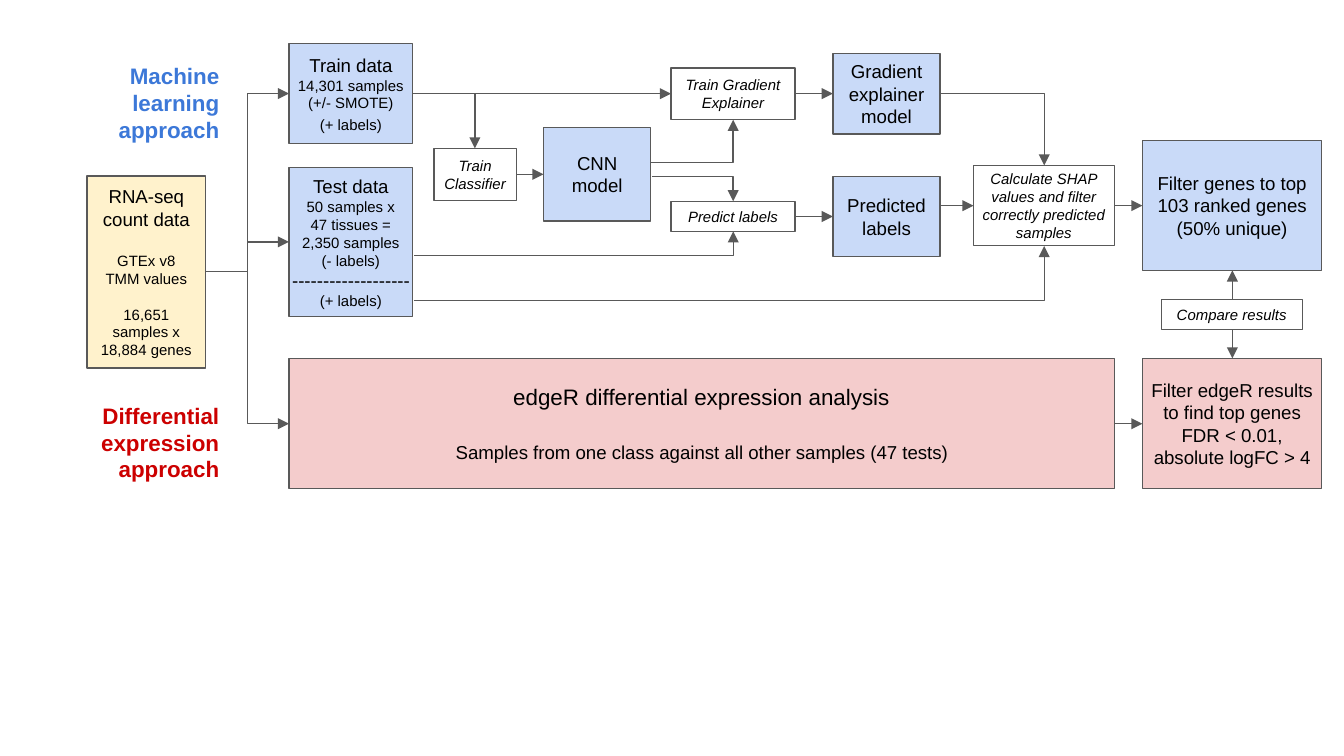
from dataclasses import dataclass

import lxml.etree
import pptx
import pptx.dml.color
import pptx.enum.shapes
import pptx.enum.text
import pptx.oxml.ns
import pptx.util

Pt = pptx.util.Pt
Align = pptx.enum.text.PP_ALIGN
Anchor = pptx.enum.text.MSO_ANCHOR
qn = pptx.oxml.ns.qn

BLUE, PINK, CREAM, WHITE = "C9DAF8", "F4CCCC", "FFF2CC", "FFFFFF"
GREY, BLACK = "595959", "000000"


@dataclass
class Line:
    text: str
    size: float = 10
    gap: float = 0


@dataclass
class Box:
    x: float
    y: float
    w: float
    h: float
    fill: str
    lines: list[Line]
    side: float = 7.2


@dataclass
class Label:
    y: float
    h: float
    tint: str
    text: list[str]


@dataclass
class Arrow:
    x1: float
    y1: float
    x2: float
    y2: float
    bends: int = 0
    both: bool = False


def color(code: str) -> pptx.dml.color.RGBColor:
    return pptx.dml.color.RGBColor.from_string(code)


def write(frame, lines: list[Line], side: float, align, tint: str,
          bold: bool = False, slant: bool = False) -> None:
    frame.word_wrap = True
    frame.margin_left = frame.margin_right = Pt(side)
    frame.margin_top = frame.margin_bottom = Pt(7.2)
    for i, line in enumerate(lines):
        par = frame.add_paragraph() if i else frame.paragraphs[0]
        par.text = line.text
        par.alignment = align
        par.space_before = Pt(line.gap)
        par.font.name = "Arial"
        par.font.size = Pt(line.size)
        par.font.bold = bold
        par.font.italic = slant
        par.font.color.rgb = color(tint)


def draw_box(slide, box: Box) -> None:
    shape = slide.shapes.add_shape(
        pptx.enum.shapes.MSO_SHAPE.RECTANGLE,
        Pt(box.x), Pt(box.y), Pt(box.w), Pt(box.h))
    shape.shadow.inherit = False
    shape.fill.solid()
    shape.fill.fore_color.rgb = color(box.fill)
    shape.line.color.rgb = color(GREY)
    shape.line.width = Pt(0.75)
    shape.text_frame.vertical_anchor = Anchor.MIDDLE
    # White boxes are steps, set in italics
    write(shape.text_frame, box.lines, box.side, Align.CENTER, BLACK,
          slant=box.fill == WHITE)


def draw_label(slide, label: Label) -> None:
    shape = slide.shapes.add_textbox(Pt(36), Pt(label.y), Pt(88.6), Pt(label.h))
    write(shape.text_frame, [Line(text, 12) for text in label.text], 7.2,
          Align.RIGHT, label.tint, bold=True)


def draw_arrow(slide, arrow: Arrow) -> None:
    kinds = pptx.enum.shapes.MSO_CONNECTOR
    link = slide.shapes.add_connector(
        kinds.ELBOW if arrow.bends else kinds.STRAIGHT,
        Pt(arrow.x1), Pt(arrow.y1), Pt(arrow.x2), Pt(arrow.y2))
    link.line.color.rgb = color(GREY)
    link.line.width = Pt(0.75)
    props = link._element.spPr
    if arrow.bends == 1:
        props.find(qn("a:prstGeom")).set("prst", "bentConnector2")
    for end in ("a:headEnd", "a:tailEnd") if arrow.both else ("a:tailEnd",):
        lxml.etree.SubElement(props.find(qn("a:ln")), qn(end), type="triangle")
    lxml.etree.SubElement(props, qn("a:effectLst"))


# Shared rows and columns
TRAIN, SHAP, EDGE, COUNT = 50.2, 110.2, 227, 145.4
DATA, STEP, MODEL, LAST = 154.8, 359.5, 446.2, 612
FORK, CALC, RANK = 392.8, 559.4, 660.2

ARROWS = [
    # Counts to the three branches
    *(Arrow(110.2, COUNT, DATA, y, 2) for y in (TRAIN, 129.6, EDGE)),
    # Training
    Arrow(221.2, TRAIN, STEP, TRAIN),
    Arrow(221.2, TRAIN, 254.4, 79.5, 1),
    Arrow(276.6, 93.4, 291.2, 93.4),
    Arrow(348, 87.1, FORK, 64.2, 1),
    Arrow(426, TRAIN, MODEL, TRAIN),
    # Prediction
    Arrow(349.2, 94.5, FORK, 107.8, 1),
    Arrow(221.8, 136.8, FORK, 124, 1),
    Arrow(426, 116, MODEL, 116),
    # Ranking
    Arrow(503.6, TRAIN, CALC, 88.6, 1),
    Arrow(221.8, 161, CALC, 131.8, 1),
    Arrow(503.6, SHAP, 521.5, SHAP),
    Arrow(597, SHAP, LAST, SHAP),
    Arrow(597, EDGE, LAST, EDGE),
    Arrow(RANK, 144.9, RANK, 192, both=True),
]

BOXES = [
    # Data
    Box(46.7, 94.3, 63.4, 102.8, CREAM, [
        Line("RNA-seq"), Line("count data"),
        Line("GTEx v8 TMM values", 8, 11.5),
        Line("16,651 samples x 18,884 genes", 8, 9.5)]),
    Box(DATA, 23.5, 66.4, 53.4, BLUE, [
        Line("Train data"), Line("14,301 samples", 8),
        Line("(+/- SMOTE)", 8), Line("(+ labels)", 8, 2)], 0),
    Box(DATA, 89.8, 66.4, 79.9, BLUE, [
        Line("Test data"), Line("50 samples x", 8), Line("47 tissues =", 8),
        Line("2,350 samples", 8), Line("(- labels)", 8),
        Line("-" * 19), Line("(+ labels)", 8)], 0),
    # Models
    Box(291.2, 68.4, 57.4, 50, BLUE, [Line("CNN model")]),
    Box(MODEL, 28.8, 57.4, 43, BLUE, [Line("Gradient explainer model")]),
    Box(MODEL, 94.6, 57.4, 43, BLUE, [Line("Predicted labels")]),
    # Steps
    Box(232.5, 79.5, 44.1, 27.8, WHITE, [Line("Train Classifier", 8)], 4.3),
    Box(STEP, 36.4, 66.5, 27.8, WHITE, [Line("Train Gradient Explainer", 8)]),
    Box(STEP, 107.9, 66.5, 16.2, WHITE, [Line("Predict labels", 8)]),
    Box(521.5, 88.6, 75.5, 43, WHITE, [Line(
        "Calculate SHAP values and filter correctly predicted samples", 8)], 4.3),
    Box(622.1, 160.4, 75.6, 16.2, WHITE, [Line("Compare results", 8)]),
    # Results
    Box(LAST, 75.2, 96.1, 69.7, BLUE, [
        Line("Filter genes to top 103 ranked genes (50% unique)")]),
    Box(DATA, 192, 442.2, 69.7, PINK, [
        Line("edgeR differential expression analysis", 12),
        Line("Samples from one class against all other samples (47 tests)",
             10, 16.5)]),
    Box(LAST, 192, 96.1, 69.7, PINK, [Line(
        "Filter edgeR results to find top genes FDR < 0.01, "
        "absolute logFC > 4")], 4.3),
]

LABELS = [
    Label(26, 60.5, "3C78D8", ["Machine learning approach"]),
    Label(208.1, 53.3, "CC0000", ["Differential expression", "approach"]),
]

deck = pptx.Presentation()
deck.slide_width, deck.slide_height = Pt(720), Pt(405)
slide = deck.slides.add_slide(deck.slide_layouts[6])
for arrow in ARROWS:
    draw_arrow(slide, arrow)
for box in BOXES:
    draw_box(slide, box)
for label in LABELS:
    draw_label(slide, label)
deck.save("out.pptx")
